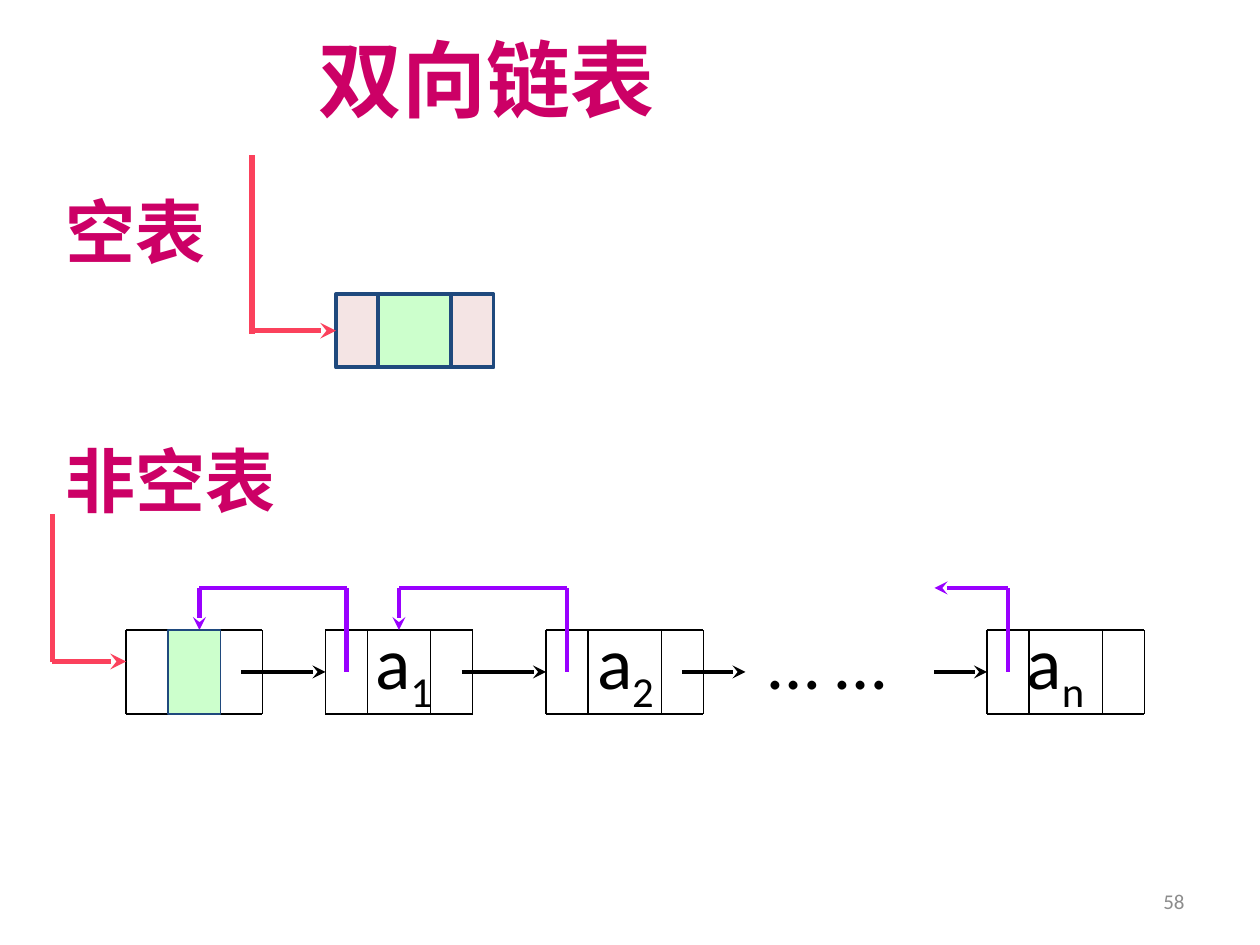
from lxml import etree
from pptx import Presentation, util as u
from pptx.dml.color import RGBColor
from pptx.enum import shapes, text
from pptx.oxml.ns import qn

COLORS = {"title": "CC0066", "ink": "000000", "number": "8C8C8C",
          "head": "FB415C", "prior": "9900FF", "border": "1F497D",
          "data": "CCFFCC", "pointer": "F4E4E4"}
FONT = "Calibri"
UNIT = u.Inches(1) / 12  # the drawing grid: 120 columns by 90 rows

prs = Presentation()
prs.slide_width, prs.slide_height = round(120 * UNIT), round(90 * UNIT)
s = prs.slides.add_slide(prs.slide_layouts[5])


def add_line(x1, y1, x2, y2, color="ink", width=0.75, arrow=False):
    """Draw a straight line between two grid points."""
    c = s.shapes.add_connector(shapes.MSO_CONNECTOR.STRAIGHT,
                               *(round(v * UNIT) for v in (x1, y1, x2, y2)))
    c.line.color.rgb = RGBColor.from_string(COLORS[color])
    c.line.width = u.Pt(width)
    if arrow:
        etree.SubElement(c.line._get_or_add_ln(), qn("a:tailEnd"), type="stealth")
    etree.SubElement(c._element.spPr, qn("a:effectLst"))
    return c


def format_text(sp, x, y, w, h, size, color, bold=False, wrap=False):
    """Place a text shape, in inches, and return its first paragraph."""
    sp.left, sp.top, sp.width, sp.height = (u.Inches(v) for v in (x, y, w, h))
    tf = sp.text_frame
    tf.word_wrap = wrap
    tf.auto_size = text.MSO_AUTO_SIZE.SHAPE_TO_FIT_TEXT
    tf.vertical_anchor = text.MSO_ANCHOR.TOP
    p = tf.paragraphs[0]
    p.alignment = text.PP_ALIGN.LEFT
    p.font.name, p.font.size, p.font.bold = FONT, u.Pt(size), bold
    p.font.color.rgb = RGBColor.from_string(COLORS[color])
    return p


# Title, headings and slide number
s.shapes.title.text_frame.text = "双向链表"
format_text(s.shapes.title, 2.43, 0.17, 2.91, 0.91, 48, "title", bold=True)
for heading, y, w in (("空表", 1.45, 1.32), ("非空表", 3.42, 1.88)):
    sp = s.shapes.add_textbox(0, 0, 0, 0)
    sp.text_frame.text = heading
    format_text(sp, 0.42, y, w, 0.77, 40, "title", bold=True)

number = s.shapes.add_textbox(0, 0, 0, 0)
number.text_frame.text = "58"
p = format_text(number, 7.17, 6.95, 2.33, 0.4, 12, "number", wrap=True)
p.alignment = text.PP_ALIGN.RIGHT
number.text_frame.auto_size = text.MSO_AUTO_SIZE.NONE
number.text_frame.vertical_anchor = text.MSO_ANCHOR.MIDDLE

# Node labels, one tab stop each
labels = s.shapes.add_textbox(0, 0, 0, 0)
p = format_text(labels, 2.53, 4.84, 7.35, 1.11, 42, "ink", wrap=True)
tabs = etree.SubElement(p._p.get_or_add_pPr(), qn("a:tabLst"))
p._p.pPr.insert(0, tabs)  # tab stops come before the run defaults
for stop, base, index in ((0.35, "a", "1"), (2.11, "a", "2"),
                          (3.47, "… …", ""), (5.52, "a", "n")):
    etree.SubElement(tabs, qn("a:tab"), pos=str(u.Inches(stop)), algn="l")
    p.add_run().text = "\t" + base
    if index:
        r = p.add_run()
        r.text = index
        r._r.get_or_add_rPr().set("baseline", "-25000")

# Empty list: one head node
empty_cells = []
for x, w, fill in ((32, 4, "pointer"), (36, 7, "data"), (43, 4, "pointer")):
    empty_cells.append((x, 28, w, 7, fill, 2.25))
head_data = (16, 60, 5, 8, "data", 0.75)

# Non-empty list: frames and dividers of the nodes
TOP, MID, BOTTOM, LOOP = 60, 64, 68, 56
for edges in ((12, 16, 21, 25), (31, 35, 41, 45),
              (52, 56, 63, 67), (94, 98, 105, 109)):
    for y in (TOP, BOTTOM):
        add_line(edges[0], y, edges[-1], y)
    for x in edges:
        add_line(x, TOP, x, BOTTOM)

# Next pointers
for x1, x2 in ((23, 31), (44, 52), (65, 71), (89, 94)):
    add_line(x1, MID, x2, MID, width=2.5, arrow=True)

# Prior pointers, bent over the nodes; the last one stays open
for x1, x2, lands in ((96, 89, False), (54, 38, True), (33, 19, True)):
    add_line(x1, MID, x1, LOOP, "prior", 2.5)
    add_line(x1, LOOP, x2, LOOP, "prior", 2.5, arrow=not lands)
    if lands:
        add_line(x2, LOOP, x2, TOP, "prior", 2.5, arrow=True)

# Filled cells
cells = []
for x, y, w, h, fill, width in empty_cells + [head_data]:
    sp = s.shapes.add_shape(shapes.MSO_SHAPE.RECTANGLE,
                            *(round(v * UNIT) for v in (x, y, w, h)))
    sp.shadow.inherit = False
    sp.fill.solid()
    sp.fill.fore_color.rgb = RGBColor.from_string(COLORS[fill])
    sp.line.color.rgb = RGBColor.from_string(COLORS["border"])
    sp.line.width = u.Pt(width)
    cells.append(sp)

# Head pointers
add_line(5, 49, 5, 63, "head", 3)
add_line(5, 63, 12, 63, "head", 3, arrow=True)
add_line(24, 14.8, 24, 31.8, "head", 3)
add_line(24, 31.5, 32, 31.5, "head", 3, arrow=True).end_connect(cells[0], 1)

prs.save("out.pptx")
